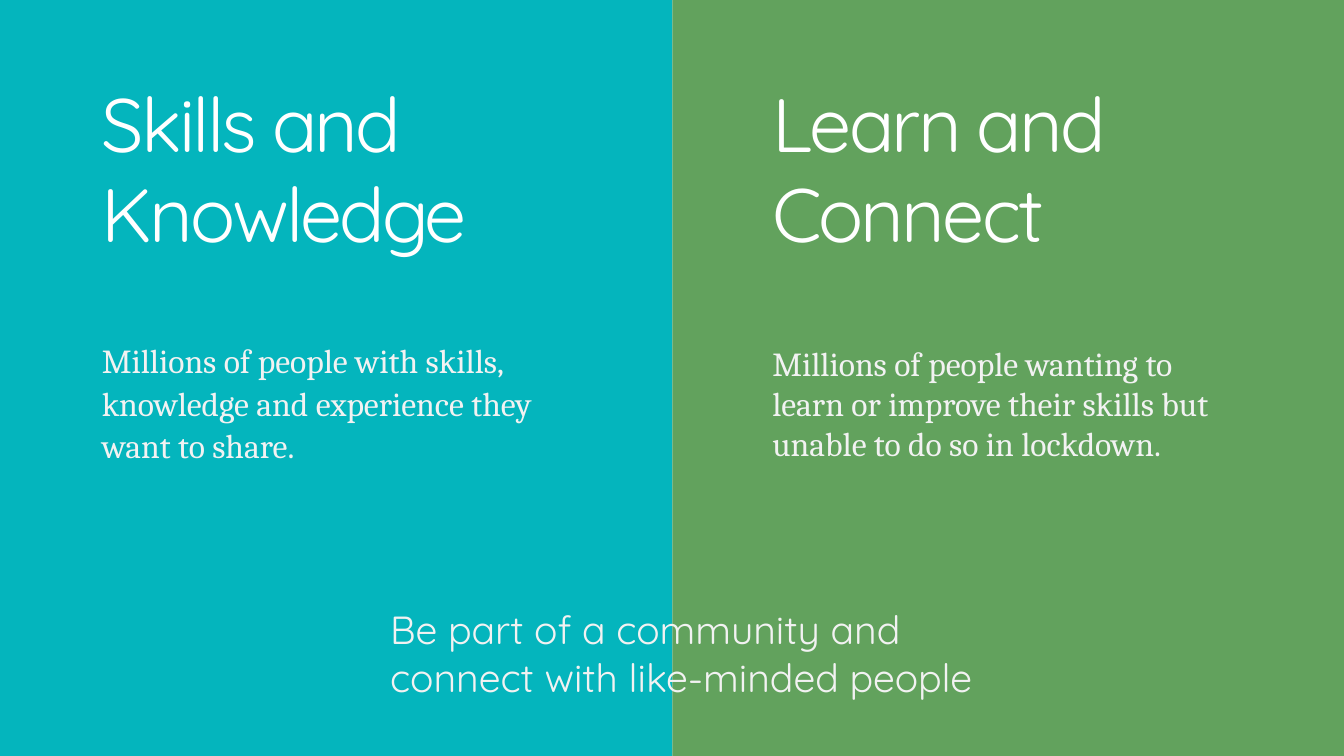
from pptx import Presentation
from pptx.dml.color import RGBColor
from pptx.enum.shapes import MSO_SHAPE
from pptx.enum.text import MSO_ANCHOR, MSO_AUTO_SIZE, PP_ALIGN
from pptx.util import Emu, Pt

PX = 9144  # EMU per px, 100 px to the inch
WIDTH, HEIGHT = 1333, 750
MIDDLE = 667
HEADING_FONT, BODY_FONT = "Quicksand", "Cambria"
WHITE, SOFT_WHITE = "FFFFFF", "F2F2F2"
TEAL, GREEN = "04B5BD", "62A25D"


def px(length):
    return Emu(length * PX)


def color(hex_string):
    return RGBColor.from_string(hex_string)


def add_panel(page, left, width, fill):
    panel = page.shapes.add_shape(
        MSO_SHAPE.RECTANGLE, px(left), 0, px(width), px(HEIGHT))
    panel.shadow.inherit = False
    panel.fill.solid()
    panel.fill.fore_color.rgb = color(fill)
    panel.line.fill.background()


def write_text(box, text, font, size, hex_string, line_spacing=1.0, tracking=0):
    frame = box.text_frame
    frame.word_wrap = True
    frame.auto_size = MSO_AUTO_SIZE.SHAPE_TO_FIT_TEXT
    frame.vertical_anchor = MSO_ANCHOR.TOP
    frame.margin_left = frame.margin_right = 0
    frame.margin_top = frame.margin_bottom = 0
    para = frame.paragraphs[0]
    para.alignment = PP_ALIGN.LEFT
    para.line_spacing = line_spacing
    para.space_before = Pt(0)
    span = para.add_run()
    span.text = text
    span.font.name = font
    span.font.size = Pt(size)
    span.font.color.rgb = color(hex_string)
    if tracking:
        span.font.element.set("spc", str(tracking * 100)) if hasattr(
            span.font, "element") else span.font._element.set("spc", str(tracking * 100))


def add_text(page, left, top, width, height, *style, **spacing):
    box = page.shapes.add_textbox(px(left), px(top), px(width), px(height))
    write_text(box, *style, **spacing)


def place_title(page, left, top, width, height, *style, **spacing):
    title = page.shapes.title
    title.left, title.top = px(left), px(top)
    title.width, title.height = px(width), px(height)
    write_text(title, *style, **spacing)
    # Bring the title in front of the panels
    title.element.getparent().append(title.element)


def main():
    deck = Presentation()
    deck.slide_width, deck.slide_height = px(WIDTH), px(HEIGHT)
    page = deck.slides.add_slide(deck.slide_layouts[5])

    # Two halves of the background
    add_panel(page, 0, MIDDLE, TEAL)
    add_panel(page, MIDDLE, WIDTH - MIDDLE, GREEN)

    # Headings
    heading = (HEADING_FONT, 54, WHITE)
    place_title(page, 101, 76, 386, 182, "Skills and Knowledge", *heading, tracking=-2)
    add_text(page, 766, 76, 386, 182, "Learn and Connect", *heading, tracking=-2)

    # Descriptions
    body = (BODY_FONT, 24, SOFT_WHITE)
    add_text(page, 101, 335, 470, 126,
             "Millions of people with skills, knowledge and experience "
             "they want to share.", *body, line_spacing=Pt(30.4))
    add_text(page, 766, 340, 470, 121,
             "Millions of people wanting to learn or improve their skills "
             "but unable to do so in lockdown.", *body)

    # Closing line across both halves
    add_text(page, 387, 601, 617, 94,
             "Be part of a community and connect with like-minded people",
             HEADING_FONT, 28, SOFT_WHITE)

    deck.save("out.pptx")


if __name__ == "__main__":
    main()
